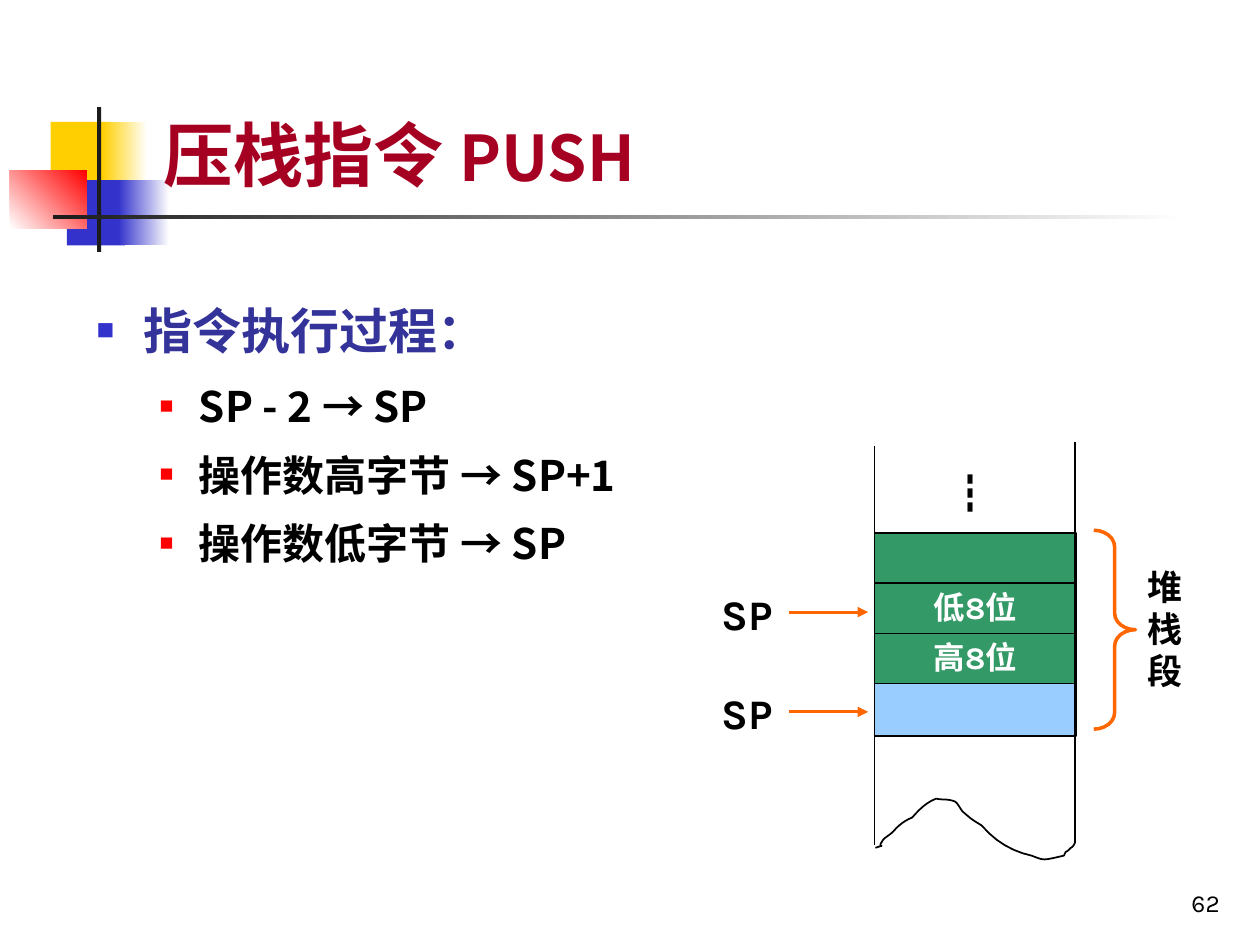
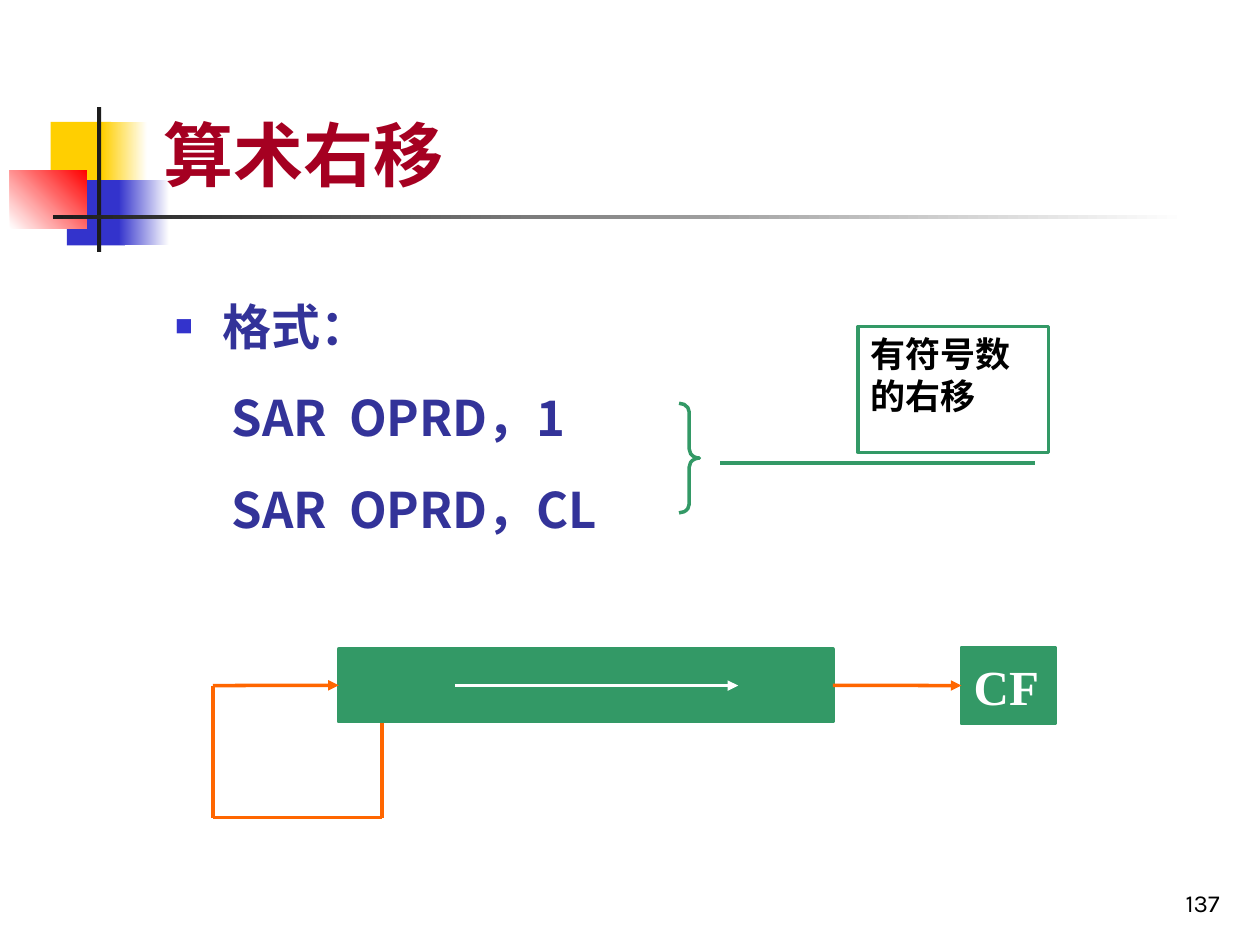
from lxml import etree
from pptx import Presentation
from pptx import util as u
from pptx.dml.color import RGBColor
from pptx.enum import shapes, text
from pptx.oxml.ns import qn

BLACK = RGBColor(0x00, 0x00, 0x00)
WHITE = RGBColor(0xFF, 0xFF, 0xFF)
CHARCOAL = RGBColor(0x1C, 0x1C, 0x1C)
YELLOW = RGBColor(0xFF, 0xCF, 0x01)
BLUE = RGBColor(0x33, 0x33, 0xCC)
RED = RGBColor(0xFF, 0x00, 0x00)
CRIMSON = RGBColor(0xA5, 0x00, 0x21)
INDIGO = RGBColor(0x33, 0x33, 0x99)
GREEN = RGBColor(0x33, 0x99, 0x66)
SKY = RGBColor(0x99, 0xCC, 0xFF)
ORANGE = RGBColor(0xFF, 0x66, 0x00)

SANS = "Noto Sans CJK SC"
SERIF = "Times New Roman"
LABEL = "Karla"

SHAPE = shapes.MSO_SHAPE

# Torn lower edge of the stack: start, then cubic segments (two handles and an end), in cm
TORN_START = (17.65, 17.09)
TORN_CURVES = [
    ((17.93, 16.99), (17.63, 17.15), (17.81, 16.92)),
    ((17.86, 16.87), (17.93, 16.84), (18.01, 16.76)),
    ((18.11, 16.64), (18.24, 16.54), (18.39, 16.48)),
    ((18.54, 16.31), (18.67, 16.18), (18.87, 16.10)),
    ((19.00, 16.13), (19.10, 16.10), (19.23, 16.15)),
    ((19.30, 16.15), (19.38, 16.36), (19.43, 16.38)),
    ((19.61, 16.54), (19.63, 16.54), (19.79, 16.64)),
    ((20.07, 16.97), (20.42, 17.17), (20.80, 17.25)),
    ((21.06, 17.35), (21.01, 17.35), (21.44, 17.25)),
    ((21.46, 17.25), (21.46, 17.20), (21.49, 17.17)),
    ((21.54, 17.15), (21.56, 17.12), (21.59, 17.09)),
    ((21.64, 17.07), (21.67, 16.99), (21.67, 16.99)),
]


def cm(*lengths):
    return [u.Cm(length) for length in lengths]


def style(paragraph, size, color, font=SANS, bold=True):
    paragraph.font.size = u.Pt(size)
    paragraph.font.bold = bold
    paragraph.font.color.rgb = color
    paragraph.font.name = font
    defaults = paragraph.font._element
    etree.SubElement(defaults, qn("a:ea"), typeface=SANS)


def outline(shape, color, width):
    if color is None:
        shape.line.fill.background()
    else:
        shape.line.color.rgb = color
        shape.line.width = u.Pt(width)


def add_block(slide, at, fill=None, line=None, width=1.0, kind=SHAPE.RECTANGLE):
    block = slide.shapes.add_shape(kind, *cm(*at))
    block.shadow.inherit = False
    if fill is None:
        block.fill.background()
    else:
        block.fill.solid()
        block.fill.fore_color.rgb = fill
    outline(block, line, width)
    return block


def add_fade(slide, at, start, end, angle=0):
    """Rectangle with a two-colour gradient."""
    fade = add_block(slide, at)
    fade.fill.gradient()
    fade.fill.gradient_angle = angle
    for stop, color in zip(fade.fill.gradient_stops, (start, end)):
        stop.color.rgb = color
    return fade


def add_brace(slide, at, color, curl):
    brace = add_block(slide, at, line=color, width=2, kind=SHAPE.RIGHT_BRACE)
    brace.adjustments[0] = curl


def add_line(slide, ends, color, width, arrow=False):
    line = slide.shapes.add_connector(shapes.MSO_CONNECTOR.STRAIGHT, *cm(*ends))
    outline(line, color, width)
    properties = line.element.spPr
    if arrow:
        etree.SubElement(properties.find(qn("a:ln")), qn("a:tailEnd"), type="triangle")
    etree.SubElement(properties, qn("a:effectLst"))
    return line


def add_text(slide, at, words, size, color=BLACK, font=LABEL, bold=True):
    box = slide.shapes.add_textbox(*cm(*at))
    frame = box.text_frame
    frame.word_wrap = True
    frame.text = words
    style(frame.paragraphs[0], size, color, font, bold)
    return frame


def set_indent(paragraph, margin, hanging=0.0, bullet=None, percent=60):
    """Left margin and hanging indent in cm, with a square bullet if a colour is given."""
    properties = paragraph._p.get_or_add_pPr()
    properties.set("marL", str(u.Cm(margin)))
    properties.set("indent", str(-u.Cm(hanging)))
    if bullet is None:
        etree.SubElement(properties, qn("a:buNone"))
        return
    color = etree.SubElement(properties, qn("a:buClr"))
    etree.SubElement(color, qn("a:srgbClr"), val=str(bullet))
    etree.SubElement(properties, qn("a:buSzPct"), val=str(percent * 1000))
    etree.SubElement(properties, qn("a:buFont"), typeface=SERIF)
    etree.SubElement(properties, qn("a:buChar"), char="■")


def add_heading(paragraph, words, after=6):
    add_syntax(paragraph, words, after, margin=0.95, hanging=0.95, bullet=BLUE)


def add_syntax(paragraph, words, after=6, margin=1.14, **indent):
    paragraph.text = words
    paragraph.line_spacing = 1.2
    paragraph.space_before = u.Pt(6)
    paragraph.space_after = u.Pt(after)
    set_indent(paragraph, margin, **indent)
    style(paragraph, 28, INDIGO)


def add_step(paragraph, words):
    paragraph.text = words
    paragraph.level = 1
    paragraph.line_spacing = 1.15
    paragraph.space_before = u.Pt(0)
    paragraph.space_after = u.Pt(6)
    set_indent(paragraph, 2.06, hanging=0.79, bullet=RED, percent=55)
    style(paragraph, 24, BLACK)


def add_body(slide, at):
    frame = slide.shapes.add_textbox(*cm(*at)).text_frame
    frame.word_wrap = True
    return frame


def decorate_layout(layout, slide):
    """Draw the title ornament and move it behind the layout's placeholders."""
    ornament = [
        add_block(slide, (1.02, 2.46, 1.22, 1.32), YELLOW),
        add_fade(slide, (2.06, 2.46, 0.91, 1.32), YELLOW, WHITE),
        add_block(slide, (1.35, 3.63, 1.17, 1.32), BLUE),
        add_fade(slide, (2.39, 3.63, 1.02, 1.32), BLUE, WHITE),
        add_fade(slide, (0.2, 3.43, 1.55, 1.17), WHITE, RED, angle=45),
        add_block(slide, (1.96, 2.16, 0.08, 2.92), CHARCOAL),
        add_fade(slide, (1.07, 4.34, 22.86, 0.08), CHARCOAL, WHITE),
    ]
    for position, part in enumerate(ornament, start=2):
        layout.shapes.element.insert(position, part.element)


def add_slide(prs, title, number):
    slide = prs.slides.add_slide(prs.slide_layouts[5])
    heading = slide.shapes.title
    heading.left, heading.top, heading.width, heading.height = cm(3.05, 0, 21.64, 4.06)
    frame = heading.text_frame
    frame.text = title
    frame.auto_size = text.MSO_AUTO_SIZE.NONE
    frame.vertical_anchor = text.MSO_ANCHOR.BOTTOM
    frame.paragraphs[0].alignment = text.PP_ALIGN.LEFT
    style(frame.paragraphs[0], 40, CRIMSON)
    footer = add_text(slide, (19.56, 17.35, 5.28, 1.27), number, 14, bold=False)
    footer.vertical_anchor = text.MSO_ANCHOR.BOTTOM
    footer.paragraphs[0].alignment = text.PP_ALIGN.RIGHT
    return slide


def curve_points(start, curves, steps=6):
    for first, second, end in curves:
        for step in range(1, steps + 1):
            t = step / steps
            weights = ((1 - t) ** 3, 3 * t * (1 - t) ** 2, 3 * t * t * (1 - t), t ** 3)
            handles = (start, first, second, end)
            yield tuple(u.Cm(sum(w * h[axis] for w, h in zip(weights, handles)))
                        for axis in (0, 1))
        start = end


def add_torn_edge(slide):
    builder = slide.shapes.build_freeform(*cm(*TORN_START))
    builder.add_line_segments(list(curve_points(TORN_START, TORN_CURVES)), close=False)
    edge = builder.convert_to_shape()
    edge.shadow.inherit = False
    edge.fill.background()
    outline(edge, BLACK, 1)


def add_stack(slide):
    left, top, pitch = 17.63, 10.75, 1.01
    for row, fill in enumerate((GREEN, GREEN, GREEN, SKY)):
        add_block(slide, (left, top + row * pitch, 4.06, 1.06), fill, BLACK)
    add_line(slide, (left, 8.99, left, 17.04), BLACK, 1)
    add_line(slide, (21.67, 8.92, 21.67, 16.99), BLACK, 1)
    add_torn_edge(slide)
    add_text(slide, (18.9, 9.3, 1.7, 1.27), "┇", 24, font=SANS, bold=False)
    for row, byte in enumerate(("低8位", "高8位")):
        add_text(slide, (18.57, 11.73 + row * pitch, 2.59, 1.02), byte, 18, WHITE)
    for pointer in (12.34, 14.35):
        add_text(slide, (14.3, pointer - 0.61, 2.3, 1.27), "SP", 24)
        add_line(slide, (15.9, pointer, 17.5, pointer), ORANGE, 1.75, arrow=True)
    add_brace(slide, (22.05, 10.69, 0.84, 4.01), ORANGE, 0.396)
    add_text(slide, (22.89, 11.28, 1.27, 2.79), "堆栈段", 20, font=SERIF)


def build_push(prs):
    slide = add_slide(prs, "压栈指令 ", "62")
    mnemonic = slide.shapes.title.text_frame.paragraphs[0].add_run()
    mnemonic.text = "PUSH"
    mnemonic.font.size = u.Pt(36)
    body = add_body(slide, (1.7, 5.69, 13.82, 9.83))
    add_heading(body.paragraphs[0], "指令执行过程：", after=8)
    for step in ("SP - 2 → SP", "操作数高字节 → SP+1", "操作数低字节 → SP"):
        add_step(body.add_paragraph(), step)
    add_stack(slide)
    return slide


def add_callout(slide, words):
    callout = add_block(slide, (17.3, 6.58, 3.84, 2.54), line=GREEN, width=2,
                        kind=SHAPE.LINE_CALLOUT_1)
    for index, value in enumerate((1.083, 0.928, 1.083, -0.723)):
        callout.adjustments[index] = value
    frame = callout.text_frame
    frame.text = words
    frame.vertical_anchor = text.MSO_ANCHOR.TOP
    frame.paragraphs[0].alignment = text.PP_ALIGN.LEFT
    style(frame.paragraphs[0], 20, BLACK)


def add_shift_diagram(slide):
    operand = add_block(slide, (6.83, 13.08, 9.96, 1.47), GREEN, GREEN, 2)
    carry = add_block(slide, (19.38, 13.06, 1.9, 1.52), GREEN, GREEN, 2)
    carry.text_frame.text = "CF"
    carry.text_frame.word_wrap = False
    style(carry.text_frame.paragraphs[0], 28, WHITE, SERIF)
    add_line(slide, (9.17, 13.82, 14.88, 13.82), WHITE, 2, arrow=True)
    shift_out = add_line(slide, (16.79, 13.8, 19.38, 13.8), ORANGE, 2, arrow=True)
    shift_out.begin_connect(operand, 3)
    shift_out.end_connect(carry, 1)
    loop_left, loop_right, loop_bottom = 4.29, 7.7, 16.48
    sign_in = add_line(slide, (loop_left, 13.82, 6.83, 13.82), ORANGE, 2, arrow=True)
    sign_in.end_connect(operand, 1)
    add_line(slide, (loop_left, 13.82, loop_left, loop_bottom), ORANGE, 2)
    add_line(slide, (loop_left, loop_bottom, loop_right, loop_bottom), ORANGE, 2)
    add_line(slide, (loop_right, 14.58, loop_right, loop_bottom), ORANGE, 2)


def build_arithmetic_shift(prs):
    slide = add_slide(prs, "算术右移", "137")
    body = add_body(slide, (3.28, 5.61, 21.59, 5.51))
    add_heading(body.paragraphs[0], "格式：")
    for count in ("1", "CL"):
        add_syntax(body.add_paragraph(), f"SAR  OPRD，{count}")
    add_brace(slide, (13.69, 8.13, 0.41, 2.21), GREEN, 0.438)
    add_callout(slide, "有符号数的右移")
    add_shift_diagram(slide)


def main():
    prs = Presentation()
    prs.slide_width, prs.slide_height = cm(25.4, 19.05)
    push = build_push(prs)
    decorate_layout(push.slide_layout, push)
    build_arithmetic_shift(prs)
    prs.save("out.pptx")


if __name__ == "__main__":
    main()
